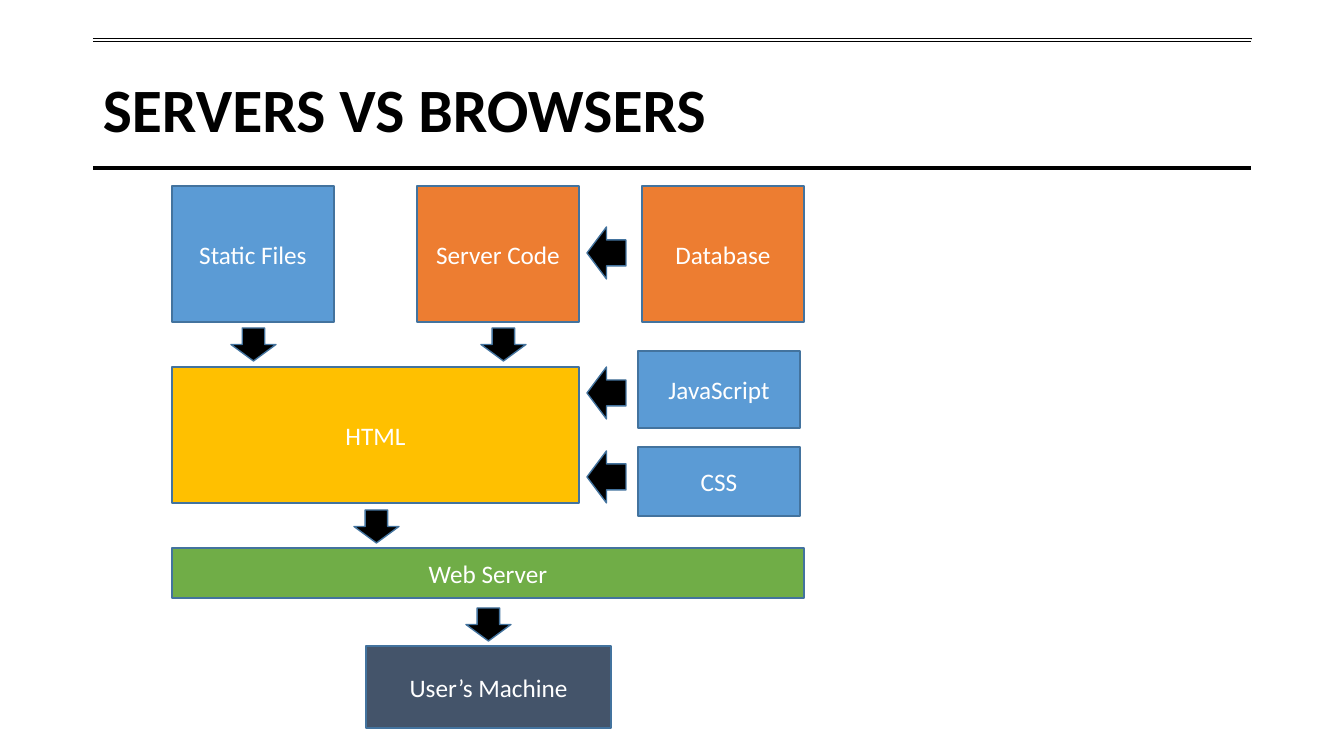
"""Build the slide that shows how servers and browsers work together."""
from dataclasses import dataclass

from lxml.etree import SubElement
from pptx import Presentation
from pptx.dml.color import RGBColor
from pptx.enum.shapes import MSO_CONNECTOR as Connector, MSO_SHAPE as Shape
from pptx.enum.text import MSO_ANCHOR as Anchor, PP_ALIGN as Align
from pptx.oxml.ns import qn
from pptx.util import Emu, Pt


@dataclass(frozen=True)
class Theme:
    font: str = "Calibri"
    ink: str = "000000"
    paper: str = "FFFFFF"
    outline: str = "43739E"
    asset: str = "5B9BD5"
    backend: str = "ED7D31"
    markup: str = "FFC000"
    server: str = "70AD47"
    client: str = "44546A"
    title_size: int = 44
    label_size: int = 18
    rule_width: float = 3
    title_border: float = 0.75
    outline_width: float = 1


THEME = Theme()
SLIDE_SIZE = (1344, 756)
EMU_PER_PX = 914400 / 100.8

TITLE = "SERVERS VS BROWSERS"
TITLE_AREA = (93, 40, 1159, 146)
RULE_TOPS = (40, 168)

TILE = (162, 136)
STAGES = [
    ("Server Code", THEME.backend, (417, 186), TILE),
    ("Static Files", THEME.asset, (172, 186), TILE),
    ("HTML", THEME.markup, (172, 367), (407, 136)),
    ("JavaScript", THEME.asset, (638, 351), (162, 77)),
    ("CSS", THEME.asset, (638, 447), (162, 69)),
    ("Database", THEME.backend, (642, 186), TILE),
    ("Web Server", THEME.server, (172, 548), (632, 50)),
    ("User’s Machine", THEME.client, (366, 646), (245, 82)),
]
FLOWS = [
    (Shape.DOWN_ARROW, (45, 33), [(231, 328), (481, 328), (354, 510), (466, 608)]),
    (Shape.LEFT_ARROW, (39, 52), [(587, 367), (587, 451), (587, 227)]),
]


def px(*lengths):
    return [Emu(round(length * EMU_PER_PX)) for length in lengths]


def color(code):
    return RGBColor.from_string(code)


def write(frame, words, size, ink, bold=False, align=Align.LEFT, spacing=None):
    frame.word_wrap = True
    frame.vertical_anchor = Anchor.MIDDLE
    paragraph = frame.paragraphs[0]
    paragraph.alignment = align
    paragraph.line_spacing = spacing
    run = paragraph.add_run()
    run.text = words
    run.font.name = THEME.font
    run.font.size = Pt(size)
    run.font.bold = bold
    run.font.color.rgb = color(ink)


def add_rule(slide, top):
    left, _, width, _ = TITLE_AREA
    rule = slide.shapes.add_connector(
        Connector.STRAIGHT, *px(left, top, left + width, top))
    rule.line.color.rgb = color(THEME.ink)
    rule.line.width = Pt(THEME.rule_width)
    SubElement(rule._element.spPr, qn("a:effectLst"))


def add_title(slide):
    heading = slide.shapes.add_textbox(*px(*TITLE_AREA))
    heading.line.color.rgb = color(THEME.paper)
    heading.line.width = Pt(THEME.title_border)
    write(heading.text_frame, TITLE, THEME.title_size, THEME.ink,
          bold=True, spacing=0.9)


def add_block(slide, kind, place, size, fill):
    block = slide.shapes.add_shape(kind, *px(*place, *size))
    block.shadow.inherit = False
    block.fill.solid()
    block.fill.fore_color.rgb = color(fill)
    block.line.color.rgb = color(THEME.outline)
    block.line.width = Pt(THEME.outline_width)
    return block


def main():
    deck = Presentation()
    deck.slide_width, deck.slide_height = px(*SLIDE_SIZE)
    slide = deck.slides.add_slide(deck.slide_layouts[6])
    for top in RULE_TOPS:
        add_rule(slide, top)
    add_title(slide)
    for label, fill, place, size in STAGES:
        stage = add_block(slide, Shape.RECTANGLE, place, size, fill)
        write(stage.text_frame, label, THEME.label_size, THEME.paper,
              align=Align.CENTER)
    for kind, size, places in FLOWS:
        for place in places:
            add_block(slide, kind, place, size, THEME.ink)
    deck.save("out.pptx")


if __name__ == "__main__":
    main()
